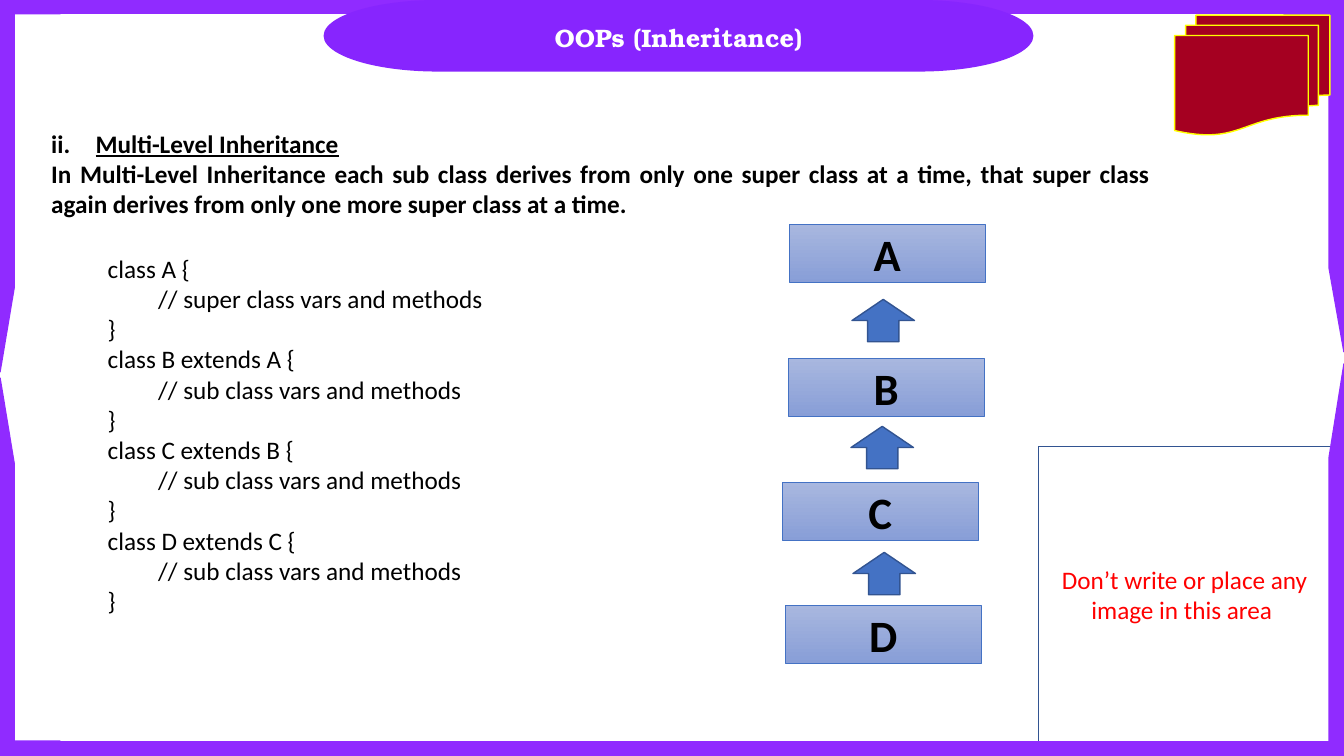
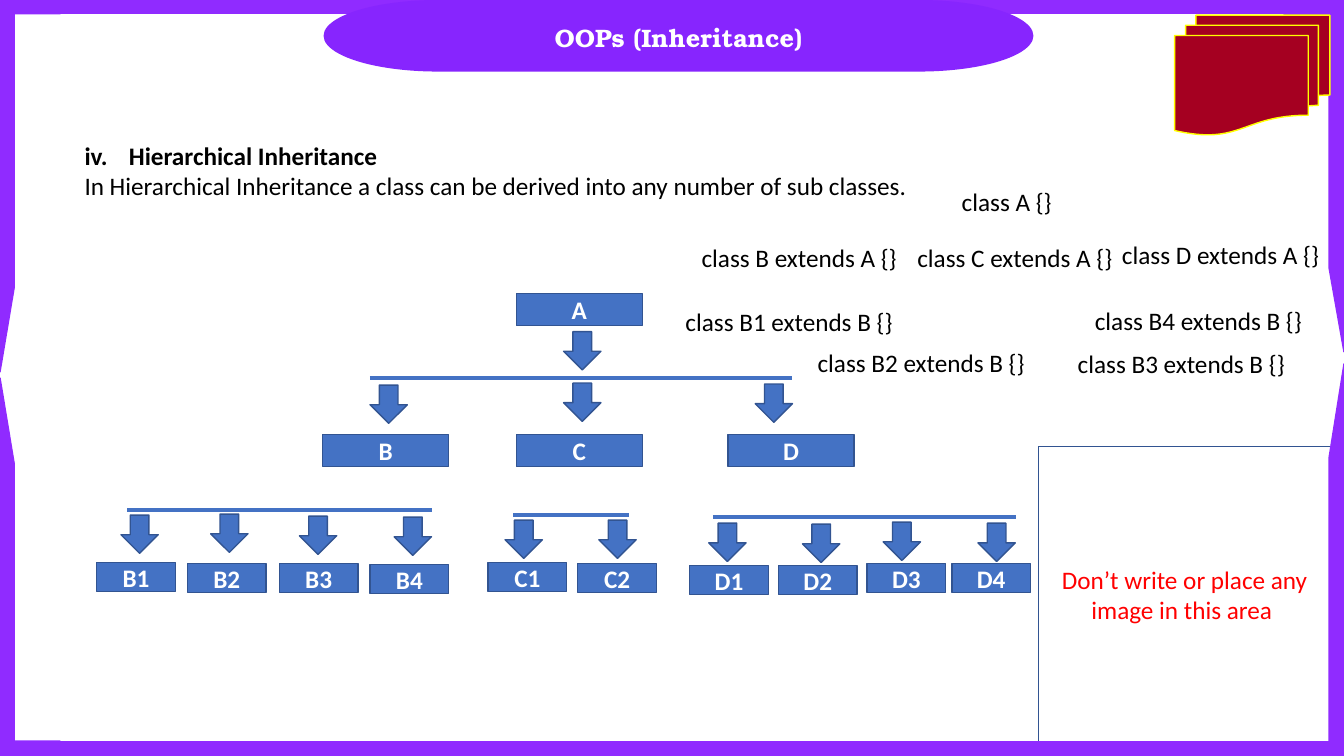
from dataclasses import dataclass, replace

from lxml.etree import SubElement
from pptx import Presentation
from pptx.dml.color import RGBColor
from pptx.enum.shapes import MSO_CONNECTOR, MSO_SHAPE
from pptx.enum.text import MSO_ANCHOR, MSO_AUTO_SIZE, PP_ALIGN
from pptx.oxml.ns import qn
from pptx.util import Pt

EMU_PER_PX = 9144
SLIDE_WIDTH, SLIDE_HEIGHT = 1333, 750

WHITE = RGBColor(0xFF, 0xFF, 0xFF)
BLACK = RGBColor(0, 0, 0)
RED = RGBColor(0xFF, 0, 0)
FRAME_PURPLE = RGBColor(0x90, 0x2B, 0xFF)
TITLE_PURPLE = RGBColor(0x87, 0x25, 0xFE)
MAROON = RGBColor(0xA5, 0x00, 0x21)
YELLOW = RGBColor(0xFF, 0xFF, 0x00)
BLUE = RGBColor(0x44, 0x72, 0xC4)
DARK_BLUE = RGBColor(0x32, 0x54, 0x91)
GRADIENT_TOP = RGBColor(0xA8, 0xB7, 0xDF)
GRADIENT_BOTTOM = RGBColor(0x88, 0x9E, 0xD7)


@dataclass(frozen=True)
class Area:
    left: int
    top: int
    width: int
    height: int


@dataclass(frozen=True)
class TextStyle:
    size: int = 18
    color: RGBColor = BLACK
    bold: bool = False
    underline: bool = False
    font: str = "Calibri"
    align: PP_ALIGN = PP_ALIGN.LEFT


@dataclass(frozen=True)
class Corner:
    area: Area
    adjustments: tuple[float, float]
    mirrored: bool = False
    rotation: int = 0


@dataclass(frozen=True)
class Label:
    text: str
    left: int
    top: int


@dataclass(frozen=True)
class Branch:
    start: int
    end: int
    level: int
    arrows: tuple[tuple[int, int], ...]
    nodes: tuple[Label, ...]
    node_size: tuple[int, int] = (78, 29)


BODY = TextStyle()
BOLD = TextStyle(bold=True)
TITLE = TextStyle(color=WHITE, bold=True, font="TeX Gyre Bonum", align=PP_ALIGN.CENTER)
NOTICE = TextStyle(color=RED, align=PP_ALIGN.CENTER)
NODE = TextStyle(color=WHITE, bold=True, align=PP_ALIGN.CENTER)
LEVEL = TextStyle(size=32, bold=True, align=PP_ALIGN.CENTER)

LEFT_TOP = Corner(Area(0, 0, 62, 369), (0.218, 0.228))
RIGHT_TOP = Corner(Area(1271, 0, 62, 349), (0.228, 0.239), mirrored=True)
LEFT_BOTTOM = Corner(Area(0, 375, 62, 375), (0.239, 0.228), mirrored=True, rotation=180)
RIGHT_BOTTOM = Corner(Area(1271, 361, 62, 389), (0.228, 0.239), rotation=180)

LEVELS = (Label("A", 783, 223), Label("B", 782, 356), Label("C", 776, 479), Label("D", 779, 601))
UP_ARROWS = ((845, 297), (844, 423), (846, 548))

BRANCHES = (
    Branch(367, 786, 375, ((367, 382), (559, 380), (749, 381)),
           (Label("B", 320, 431), Label("C", 512, 431), Label("D", 722, 431)), (125, 32)),
    Branch(126, 428, 506, ((120, 511), (209, 510), (297, 512), (391, 513)),
           (Label("B1", 96, 558), Label("B2", 186, 559), Label("B3", 277, 559), Label("B4", 367, 560))),
    Branch(509, 624, 511, ((501, 516), (594, 516)),
           (Label("C1", 484, 558), Label("C2", 573, 559))),
    Branch(707, 1008, 513, ((703, 519), (796, 520), (876, 518), (970, 519)),
           (Label("D1", 684, 561), Label("D2", 772, 561), Label("D3", 860, 559), Label("D4", 944, 559))),
)
DECLARATIONS = (
    Label("class A {}", 944, 180),
    Label("class B extends A {}", 686, 235),
    Label("class C extends A {}", 900, 236),
    Label("class D extends A {}", 1103, 233),
    Label("class B1 extends B {}", 670, 299),
    Label("class B2 extends B {}", 801, 340),
    Label("class B3 extends B {}", 1059, 341),
    Label("class B4 extends B {}", 1076, 298),
)


def px(length: int) -> int:
    return length * EMU_PER_PX


def place(area: Area) -> tuple[int, int, int, int]:
    return px(area.left), px(area.top), px(area.width), px(area.height)


def write(frame, lines: list[tuple[str, TextStyle]], number: int = 0) -> None:
    for index, (text, style) in enumerate(lines):
        para = frame.paragraphs[0] if index == 0 else frame.add_paragraph()
        para.alignment = style.align
        if number and index == 0:
            properties = para._p.get_or_add_pPr()
            properties.set("marL", str(px(44)))
            properties.set("indent", str(-px(44)))
            SubElement(properties, qn("a:buFont"), typeface="+mj-lt")
            SubElement(properties, qn("a:buAutoNum"), type="romanLcPeriod", startAt=str(number))
        span = para.add_run()
        span.text = text
        span.font.size = Pt(style.size)
        span.font.name = style.font
        span.font.bold = style.bold
        span.font.underline = style.underline
        span.font.color.rgb = style.color


def add_text(page, area: Area, lines: list[tuple[str, TextStyle]],
             wrap: bool = True, number: int = 0) -> None:
    box = page.shapes.add_textbox(*place(area))
    box.text_frame.word_wrap = wrap
    box.text_frame.auto_size = MSO_AUTO_SIZE.SHAPE_TO_FIT_TEXT
    write(box.text_frame, lines, number)


def add_box(page, kind: MSO_SHAPE, area: Area, fill: RGBColor, line: RGBColor | None = None,
            text: str = "", style: TextStyle = BODY):
    box = page.shapes.add_shape(kind, *place(area))
    box.shadow.inherit = False
    box.fill.solid()
    box.fill.fore_color.rgb = fill
    if line is None:
        box.line.fill.background()
    else:
        box.line.color.rgb = line
        box.line.width = Pt(1)
    if text:
        box.text_frame.word_wrap = True
        box.text_frame.vertical_anchor = MSO_ANCHOR.MIDDLE
        write(box.text_frame, [(text, style)])
    return box


def add_corner(page, corner: Corner) -> None:
    box = add_box(page, MSO_SHAPE.HALF_FRAME, corner.area, FRAME_PURPLE, FRAME_PURPLE)
    for index, value in enumerate(corner.adjustments):
        box.adjustments[index] = value
    box.rotation = corner.rotation
    if corner.mirrored:
        box.element.spPr.get_or_add_xfrm().set("flipH", "1")


def add_band(page, top: int) -> None:
    add_box(page, MSO_SHAPE.RECTANGLE, Area(0, top, SLIDE_WIDTH, 14), FRAME_PURPLE, FRAME_PURPLE)


def add_page(deck, title: str):
    page = deck.slides.add_slide(deck.slide_layouts[6])
    for corner in (LEFT_TOP, RIGHT_TOP, LEFT_BOTTOM):
        add_corner(page, corner)
    add_band(page, -1)
    add_box(page, MSO_SHAPE.FLOWCHART_TERMINATOR, Area(321, 0, 704, 71), TITLE_PURPLE)
    add_text(page, Area(332, 17, 682, 40), [(title, TITLE)])
    add_box(page, MSO_SHAPE.FLOWCHART_MULTIDOCUMENT, Area(1165, 15, 154, 119), MAROON, YELLOW)
    add_box(page, MSO_SHAPE.RECTANGLE, Area(1030, 443, 290, 293), WHITE, DARK_BLUE,
            "Don’t write or place any image in this area ", NOTICE)
    add_corner(page, RIGHT_BOTTOM)
    add_band(page, 736)
    return page


def add_level(page, label: Label) -> None:
    box = add_box(page, MSO_SHAPE.RECTANGLE, Area(label.left, label.top, 194, 57),
                  GRADIENT_TOP, BLUE, label.text, LEVEL)
    box.line.width = Pt(0.5)
    box.fill.gradient()
    box.fill.gradient_angle = 270
    for stop, color, position in zip(box.fill.gradient_stops, (GRADIENT_TOP, GRADIENT_BOTTOM), (0, 1)):
        stop.color.rgb = color
        stop.position = position


def add_down_arrow(page, left: int, top: int) -> None:
    add_box(page, MSO_SHAPE.DOWN_ARROW, Area(left, top, 37, 38), BLUE, DARK_BLUE)


def add_node(page, label: Label, size: tuple[int, int]) -> None:
    add_box(page, MSO_SHAPE.RECTANGLE, Area(label.left, label.top, *size),
            BLUE, DARK_BLUE, label.text, NODE)


def add_branch(page, branch: Branch) -> None:
    for label in branch.nodes:
        add_node(page, label, branch.node_size)
    for left, top in branch.arrows:
        add_down_arrow(page, left, top)
    rail = page.shapes.add_connector(MSO_CONNECTOR.STRAIGHT, px(branch.start), px(branch.level),
                                     px(branch.end), px(branch.level))
    rail.line.color.rgb = BLUE
    rail.line.width = Pt(3)
    SubElement(rail.element.spPr, qn("a:effectLst"))


def class_code() -> list[tuple[str, TextStyle]]:
    lines = []
    for header, role in (("A", "super"), ("B extends A", "sub"),
                         ("C extends B", "sub"), ("D extends C", "sub")):
        lines += [f"class {header} {{", f"\t// {role} class vars and methods", "}"]
    return [(line, BODY) for line in lines]


def add_multi_level(deck) -> None:
    page = add_page(deck, "OOPs (Inheritance)")
    justified = replace(BOLD, align=PP_ALIGN.JUSTIFY)
    add_text(page, Area(41, 122, 1110, 101), [
        ("Multi-Level Inheritance", replace(justified, underline=True)),
        ("In Multi-Level Inheritance each sub class derives from only one super class at a time, "
         "that super class again derives from only one more super class at a time.", justified),
    ], number=2)
    for label in LEVELS:
        add_level(page, label)
    for left, top in UP_ARROWS:
        add_box(page, MSO_SHAPE.UP_ARROW, Area(left, top, 62, 42), BLUE, DARK_BLUE)
    add_text(page, Area(97, 246, 447, 374), class_code(), wrap=False)


def add_hierarchical(deck) -> None:
    page = add_page(deck, "OOPs (Inheritance)")
    add_text(page, Area(74, 134, 940, 71), [
        ("Hierarchical Inheritance", BOLD),
        ("In Hierarchical Inheritance a class can be derived into any number of sub classes.", BODY),
    ], number=4)
    add_node(page, Label("A", 512, 291), (125, 32))
    for branch in BRANCHES:
        add_branch(page, branch)
    add_down_arrow(page, 559, 329)
    widths = {10: 110, 20: 216, 21: 229}
    for label in DECLARATIONS:
        add_text(page, Area(label.left, label.top, widths[len(label.text)], 40),
                 [(label.text, BODY)], wrap=False)


def main() -> None:
    deck = Presentation()
    deck.slide_width = px(SLIDE_WIDTH)
    deck.slide_height = px(SLIDE_HEIGHT)
    add_multi_level(deck)
    add_hierarchical(deck)
    deck.save("out.pptx")


if __name__ == "__main__":
    main()
